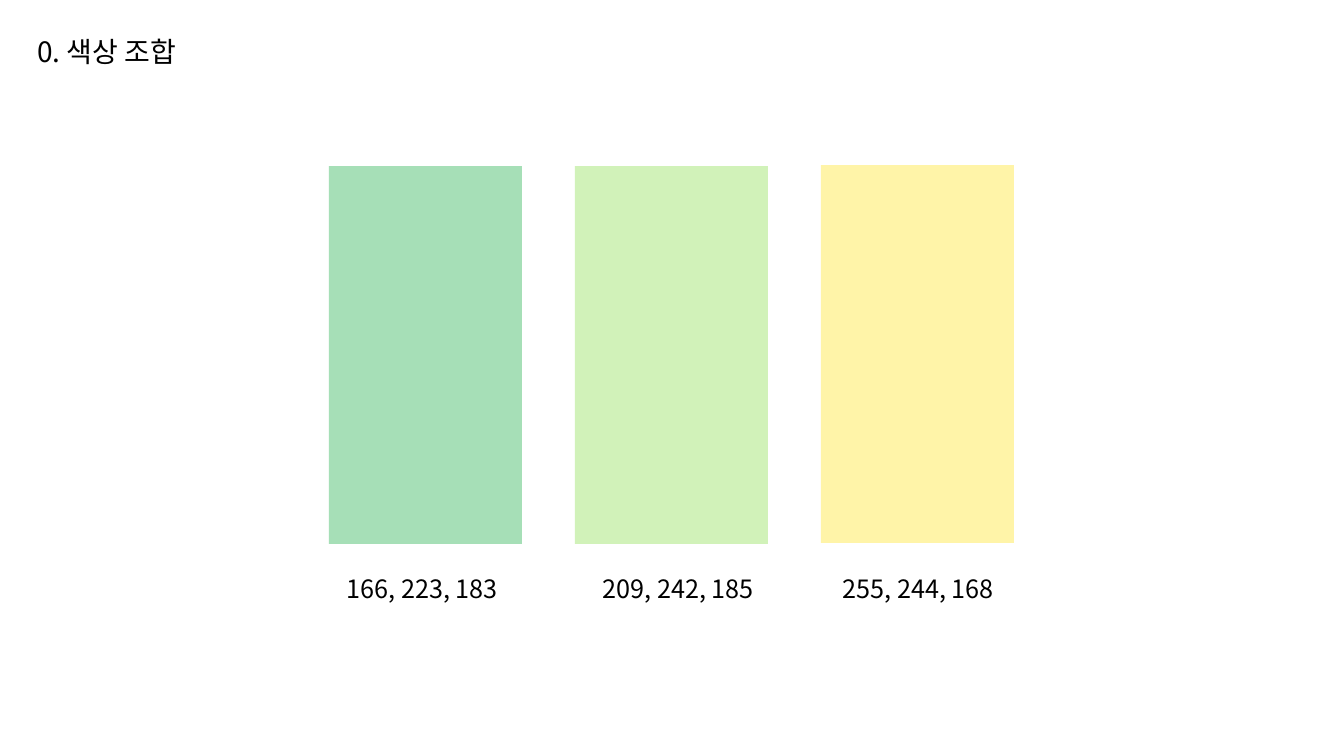
from lxml.etree import SubElement
from pptx import Presentation
from pptx.dml.color import RGBColor
from pptx.enum.shapes import MSO_SHAPE
from pptx.enum.text import MSO_ANCHOR, MSO_AUTO_SIZE, PP_ALIGN
from pptx.oxml.ns import qn
from pptx.util import Pt

TITLE = "0. 색상 조합"
FONT = "Noto Sans CJK KR"
SWATCHES = [
    ("A6DFB7", "166, 223, 183", 337, 166),
    ("D1F2B9", "209, 242, 185", 593, 166),
    ("FFF4A8", "255, 244, 168", 833, 165),
]
SWATCH_LEFT, SWATCH_PITCH, SWATCH_W, SWATCH_H = 329, 246, 193, 378
LABEL_TOP, LABEL_W, LABEL_H = 568, 201, 40


def px(n):
    return round(n * 914400 / 100.8)


def rgb(color):
    return RGBColor.from_string(color)


def place(sp, *box):
    sp.left, sp.top, sp.width, sp.height = map(px, box)


def write(sp, text, size):
    tf = sp.text_frame
    tf.word_wrap = True
    tf.auto_size = MSO_AUTO_SIZE.SHAPE_TO_FIT_TEXT
    tf.vertical_anchor = MSO_ANCHOR.TOP
    p = tf.paragraphs[0]
    p.alignment = PP_ALIGN.LEFT
    r = p.add_run()
    r.text = text
    r.font.size = Pt(size)
    r.font.name = FONT
    r.font.color.rgb = rgb("000000")
    SubElement(r.font._element, qn("a:ea"), typeface=FONT)


prs = Presentation()
prs.slide_width, prs.slide_height = px(1344), px(756)
s = prs.slides.add_slide(prs.slide_layouts[5])

title = s.shapes.title
place(title, 27, 29, 403, 44)
write(title, TITLE, 20)

for i, (color, label, label_left, top) in enumerate(SWATCHES):
    left = SWATCH_LEFT + i * SWATCH_PITCH
    sp = s.shapes.add_shape(MSO_SHAPE.RECTANGLE, px(left), px(top), px(SWATCH_W), px(SWATCH_H))
    sp.shadow.inherit = False
    sp.fill.solid()
    sp.fill.fore_color.rgb = rgb(color)
    sp.line.fill.background()
    tb = s.shapes.add_textbox(px(label_left), px(LABEL_TOP), px(LABEL_W), px(LABEL_H))
    write(tb, label, 18)

prs.save("out.pptx")
